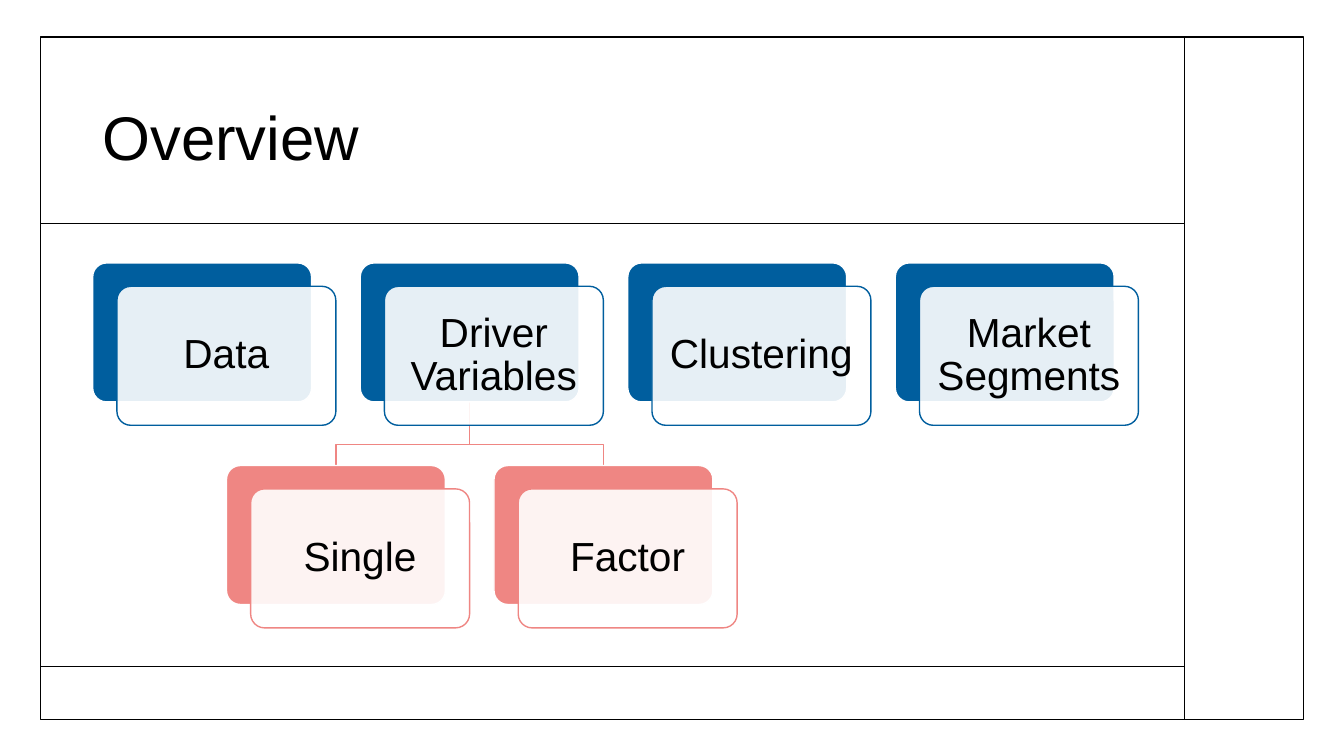
from dataclasses import dataclass

from lxml import etree
from pptx import Presentation
from pptx.dml.color import RGBColor
from pptx.enum.shapes import MSO_CONNECTOR, MSO_SHAPE
from pptx.enum.text import MSO_ANCHOR, PP_ALIGN
from pptx.oxml.ns import qn
from pptx.util import Pt

RECT = MSO_SHAPE.RECTANGLE
ROUND = MSO_SHAPE.ROUNDED_RECTANGLE
STRAIGHT = MSO_CONNECTOR.STRAIGHT
MIDDLE = MSO_ANCHOR.MIDDLE
LEFT, CENTER = PP_ALIGN.LEFT, PP_ALIGN.CENTER


@dataclass(frozen=True)
class Theme:
    font: str = "Arial"
    title_size: float = 44
    card_size: float = 29
    line_width: float = 1
    ink: RGBColor = RGBColor(0x00, 0x00, 0x00)
    paper: RGBColor = RGBColor(0xFF, 0xFF, 0xFF)
    step: RGBColor = RGBColor(0x00, 0x5E, 0x9E)
    option: RGBColor = RGBColor(0xEF, 0x86, 0x83)


THEME = Theme()

# Page frame
FRAME_X, FRAME_Y, FRAME_W, FRAME_H = 28.8, 26.6, 902.2, 487.4
SIDE_X = 846
RULES_Y = (159.8, 475.9)

# Card grid
CARD_W, CARD_H = 156.4, 99.3
CARD_X, STEP_Y, OPTION_Y = 66.2, 187.8, 332.5
PITCH = 191.1
SHIFT_X, SHIFT_Y = 17.3, 16.7
CARD_INSET = 8.64
BRANCH_Y = 317.5

STEPS = ("Data", "Driver Variables", "Clustering", "Market Segments")
OPTIONS = ("Single", "Factor")
PARENT = STEPS.index("Driver Variables")


def set_line(sp, color):
    sp.line.color.rgb = color
    sp.line.width = Pt(THEME.line_width)


def add_text(sp, text, size, align):
    tf = sp.text_frame
    tf.word_wrap = True
    tf.vertical_anchor = MIDDLE
    p = tf.paragraphs[0]
    p.alignment = align
    p.line_spacing = 0.9
    r = p.add_run()
    r.text = text
    r.font.name = THEME.font
    r.font.size = Pt(size)
    r.font.color.rgb = THEME.ink
    return tf


def add_box(slide, kind, x, y, w, h, line, fill=None):
    sp = slide.shapes.add_shape(kind, Pt(x), Pt(y), Pt(w), Pt(h))
    sp.shadow.inherit = False
    if fill is None:
        sp.fill.background()
    else:
        sp.fill.solid()
        sp.fill.fore_color.rgb = fill
    set_line(sp, line)
    return sp


def add_rule(slide, x1, y1, x2, y2):
    rule = slide.shapes.add_connector(STRAIGHT, Pt(x1), Pt(y1), Pt(x2), Pt(y2))
    set_line(rule, THEME.ink)
    etree.SubElement(rule._element.spPr, qn("a:effectLst"))


def add_title(slide, text):
    sp = slide.shapes.add_textbox(Pt(66.2), Pt(64), Pt(747.4), Pt(73.4))
    add_text(sp, text, THEME.title_size, LEFT)


def add_branch(slide, x1, y1, x2, y2):
    builder = slide.shapes.build_freeform(Pt(x1), Pt(y1), scale=1.0)
    bends = ((x1, BRANCH_Y), (x2, BRANCH_Y), (x2, y2))
    builder.add_line_segments([(Pt(x), Pt(y)) for x, y in bends], close=False)
    sp = builder.convert_to_shape()
    sp.shadow.inherit = False
    sp.fill.background()
    set_line(sp, THEME.option)


def add_card(slide, x, y, text, color):
    back = add_box(slide, ROUND, x, y, CARD_W, CARD_H, THEME.paper, color)
    front = add_box(slide, ROUND, x + SHIFT_X, y + SHIFT_Y, CARD_W, CARD_H,
                    color, THEME.paper)
    for sp in (back, front):
        sp.adjustments[0] = 0.1
    # Let the back card show faintly through the front one
    white = front._element.spPr.find(qn("a:solidFill"))[0]
    etree.SubElement(white, qn("a:alpha"), val="90000")
    tf = add_text(front, text, THEME.card_size, CENTER)
    tf.margin_left = tf.margin_right = Pt(CARD_INSET)
    tf.margin_top = tf.margin_bottom = Pt(CARD_INSET)


def main():
    prs = Presentation()
    prs.slide_width, prs.slide_height = Pt(960), Pt(540)
    slide = prs.slides.add_slide(prs.slide_layouts[6])

    # Frame and title
    add_box(slide, RECT, FRAME_X, FRAME_Y, FRAME_W, FRAME_H, THEME.ink)
    add_title(slide, "Overview")
    for y in RULES_Y:
        add_rule(slide, FRAME_X, y, SIDE_X, y)
    add_rule(slide, SIDE_X, FRAME_Y, SIDE_X, FRAME_Y + FRAME_H)

    # Options sit half a pitch either side of their parent step
    parent_x = CARD_X + PARENT * PITCH
    option_xs = [parent_x + (i - 0.5) * PITCH for i in range(len(OPTIONS))]

    # Branches, behind the cards
    for x in option_xs:
        add_branch(slide, parent_x + CARD_W / 2, STEP_Y + CARD_H,
                   x + CARD_W / 2, OPTION_Y)

    # Cards
    for i, text in enumerate(STEPS):
        add_card(slide, CARD_X + i * PITCH, STEP_Y, text, THEME.step)
    for x, text in zip(option_xs, OPTIONS):
        add_card(slide, x, OPTION_Y, text, THEME.option)

    prs.save("out.pptx")


if __name__ == "__main__":
    main()
